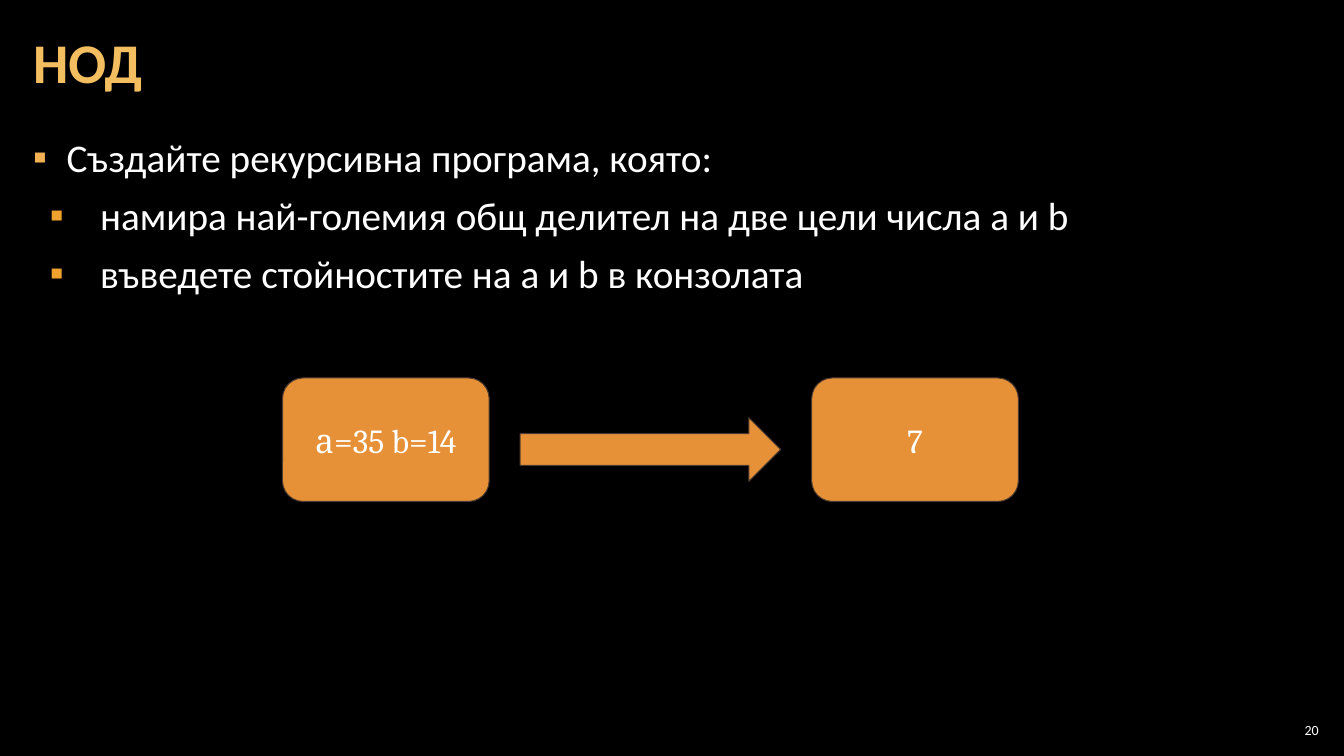
"""Build a slide on a recursive greatest common divisor task."""
from lxml import etree
from pptx import Presentation
from pptx.dml.color import RGBColor
from pptx.enum.shapes import MSO_SHAPE
from pptx.enum.text import MSO_ANCHOR, MSO_AUTO_SIZE, PP_ALIGN
from pptx.oxml.ns import qn
from pptx.util import Pt

ROUND, ARROW = MSO_SHAPE.ROUNDED_RECTANGLE, MSO_SHAPE.RIGHT_ARROW
TOP, MIDDLE = MSO_ANCHOR.TOP, MSO_ANCHOR.MIDDLE
LEFT, RIGHT = PP_ALIGN.LEFT, PP_ALIGN.RIGHT
CENTER, JUSTIFY = PP_ALIGN.CENTER, PP_ALIGN.JUSTIFY
FIXED = MSO_AUTO_SIZE.NONE
COLORS = {
    "back": "000000",
    "text": "FFFFFF",
    "title": "F3BE60",
    "first": "F2B254",
    "second": "F0A22E",
    "fill": "E69138",
    "line": "4E3B30",
}
TASKS = [
    ("Създайте рекурсивна програма, която:", 0),
    ("намира най-големия общ делител на две цели числа а и b", 1),
    ("въведете стойностите на а и b в конзолата", 1),
]
LEVELS = [(24, -24, "first"), (48, -36, "second")]


def color(name):
    return RGBColor.from_string(COLORS[name])


def set_frame(frame, side, edge, anchor):
    frame.word_wrap = True
    frame.auto_size = FIXED
    frame.margin_left = frame.margin_right = Pt(side)
    frame.margin_top = frame.margin_bottom = Pt(edge)
    frame.vertical_anchor = anchor


def set_font(para, size, align, face="Calibri", tint="text", bold=False):
    para.alignment = align
    font = para.font
    font.size, font.name, font.bold = Pt(size), face, bold
    font.color.rgb = color(tint)


def add_bullet(para, level):
    left, indent, tint = LEVELS[level]
    props = para._p.get_or_add_pPr()
    props.set("marL", str(Pt(left)))
    props.set("indent", str(Pt(indent)))
    paint = etree.SubElement(props, qn("a:buClr"))
    etree.SubElement(paint, qn("a:srgbClr"), val=COLORS[tint])
    etree.SubElement(props, qn("a:buFont"), typeface="Calibri")
    etree.SubElement(props, qn("a:buChar"), char="▪")


def add_title(slide, text):
    title = slide.shapes.title
    title.left, title.top = Pt(15), Pt(3)
    title.width, title.height = Pt(930), Pt(87)
    title.text = text
    set_frame(title.text_frame, 8.64, 3, MIDDLE)
    para = title.text_frame.paragraphs[0]
    para.line_spacing = 0.9
    set_font(para, 40, LEFT, tint="title", bold=True)


def add_tasks(slide):
    box = slide.shapes.add_textbox(Pt(15), Pt(90.72), Pt(930), Pt(438))
    frame = box.text_frame
    set_frame(frame, 8.64, 3, TOP)
    for place, (text, level) in enumerate(TASKS):
        para = frame.add_paragraph() if place else frame.paragraphs[0]
        para.text = text
        para.level = level
        para.line_spacing = 1.05
        para.space_before, para.space_after = Pt(0), Pt(6)
        add_bullet(para, level)
        set_font(para, 28, JUSTIFY)


def add_block(slide, kind, left, top, width, height, text=""):
    block = slide.shapes.add_shape(kind, Pt(left), Pt(top), Pt(width), Pt(height))
    block.shadow.inherit = False
    block.fill.solid()
    block.fill.fore_color.rgb = color("fill")
    block.line.color.rgb = color("line")
    block.line.width = Pt(0.75)
    if text:
        set_frame(block.text_frame, 9, 9, MIDDLE)
        para = block.text_frame.paragraphs[0]
        para.text = text
        set_font(para, 24, CENTER, "Cambria")


def add_number(slide, text):
    box = slide.shapes.add_textbox(Pt(911), Pt(514), Pt(34), Pt(15))
    set_frame(box.text_frame, 3, 3, MIDDLE)
    para = box.text_frame.paragraphs[0]
    para.text = text
    set_font(para, 10, RIGHT)


def main():
    deck = Presentation()
    deck.slide_width, deck.slide_height = Pt(960), Pt(540)
    slide = deck.slides.add_slide(deck.slide_layouts[5])
    back = slide.background.fill
    back.solid()
    back.fore_color.rgb = color("back")
    add_title(slide, "НОД")
    add_tasks(slide)
    add_block(slide, ROUND, 201.8, 270, 147.6, 88.2, "а=35 b=14")
    add_block(slide, ARROW, 371.6, 298.4, 186, 45.4)
    add_block(slide, ROUND, 579.8, 270, 147.6, 88.2, "7")
    add_number(slide, "20")
    deck.save("out.pptx")


if __name__ == "__main__":
    main()
